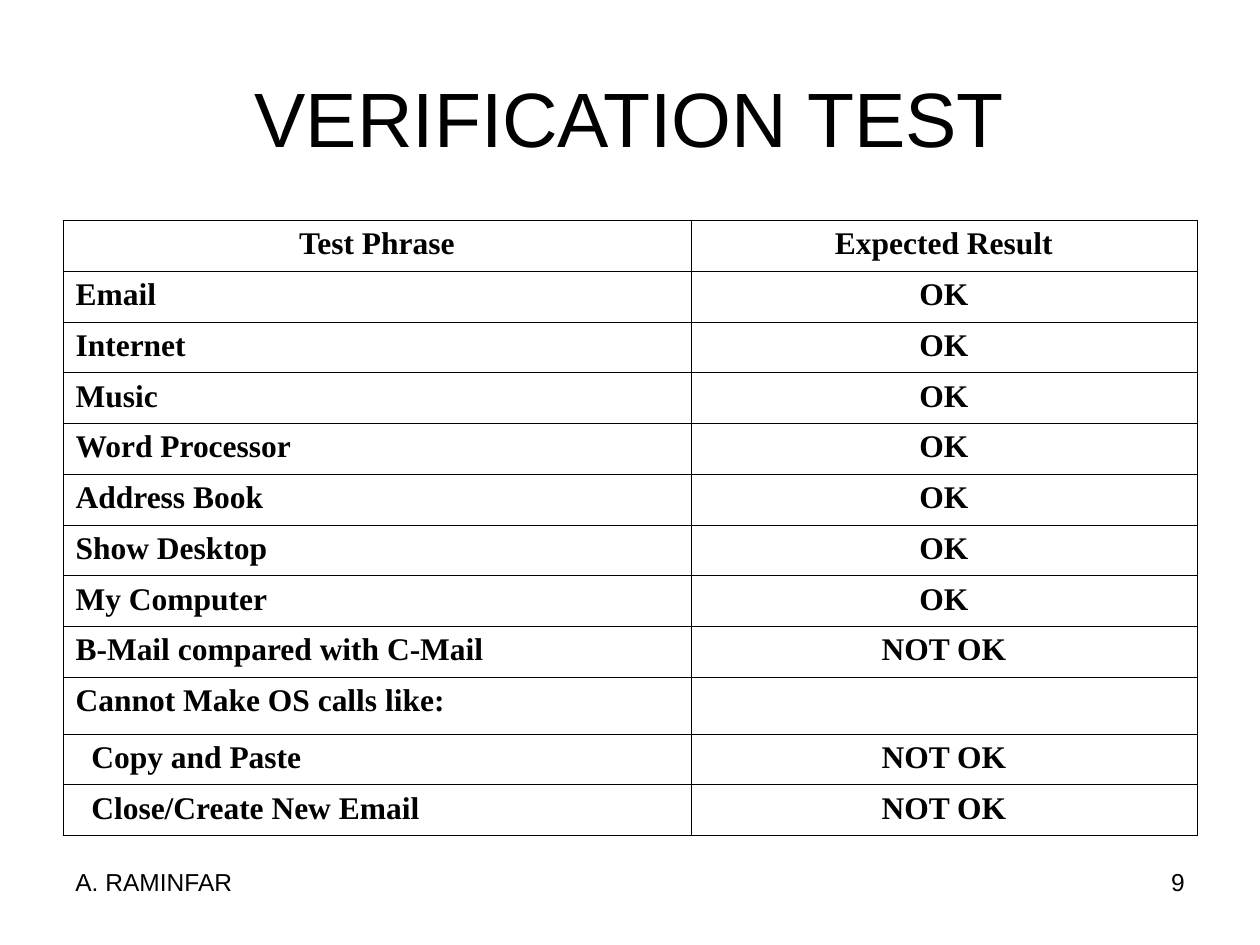
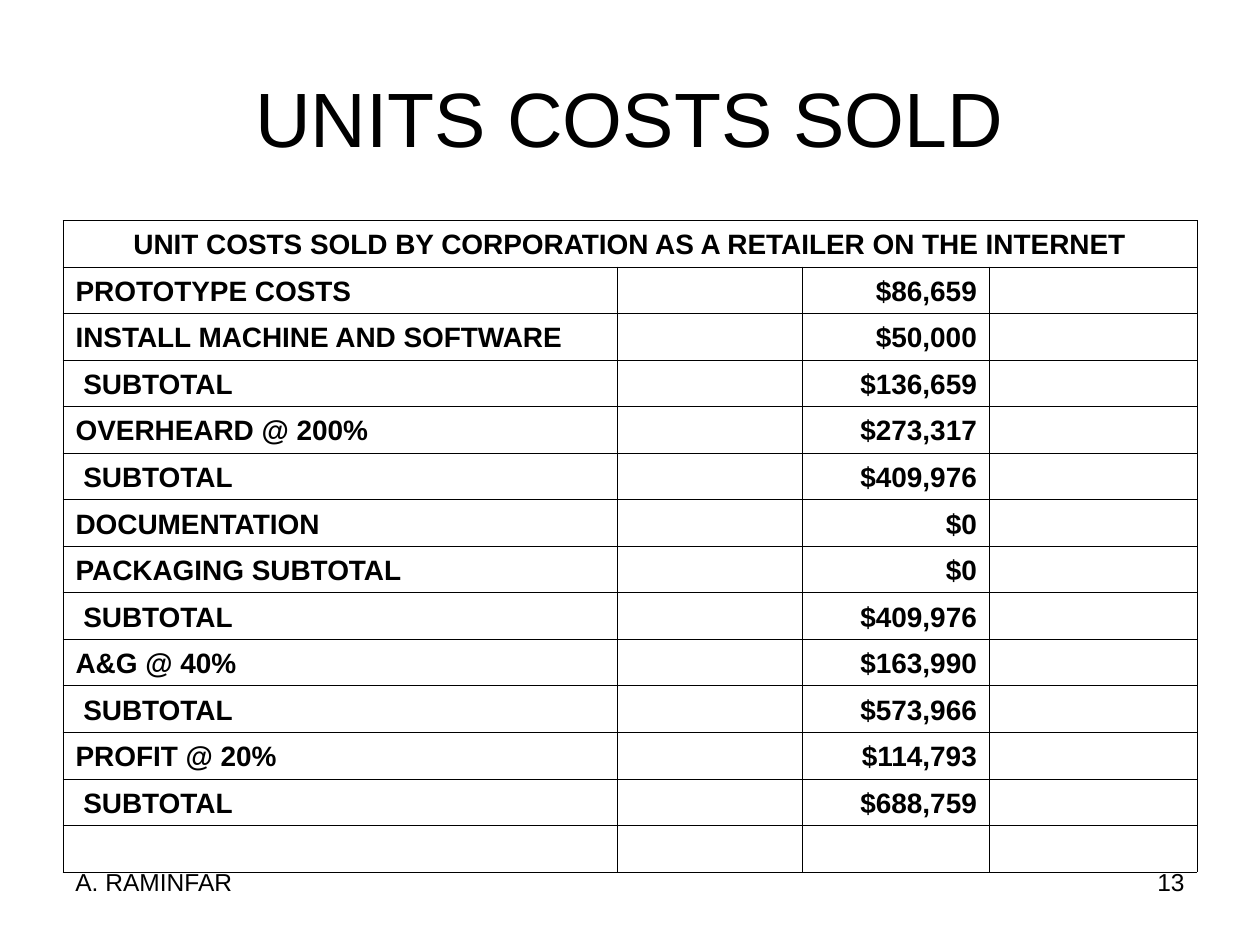
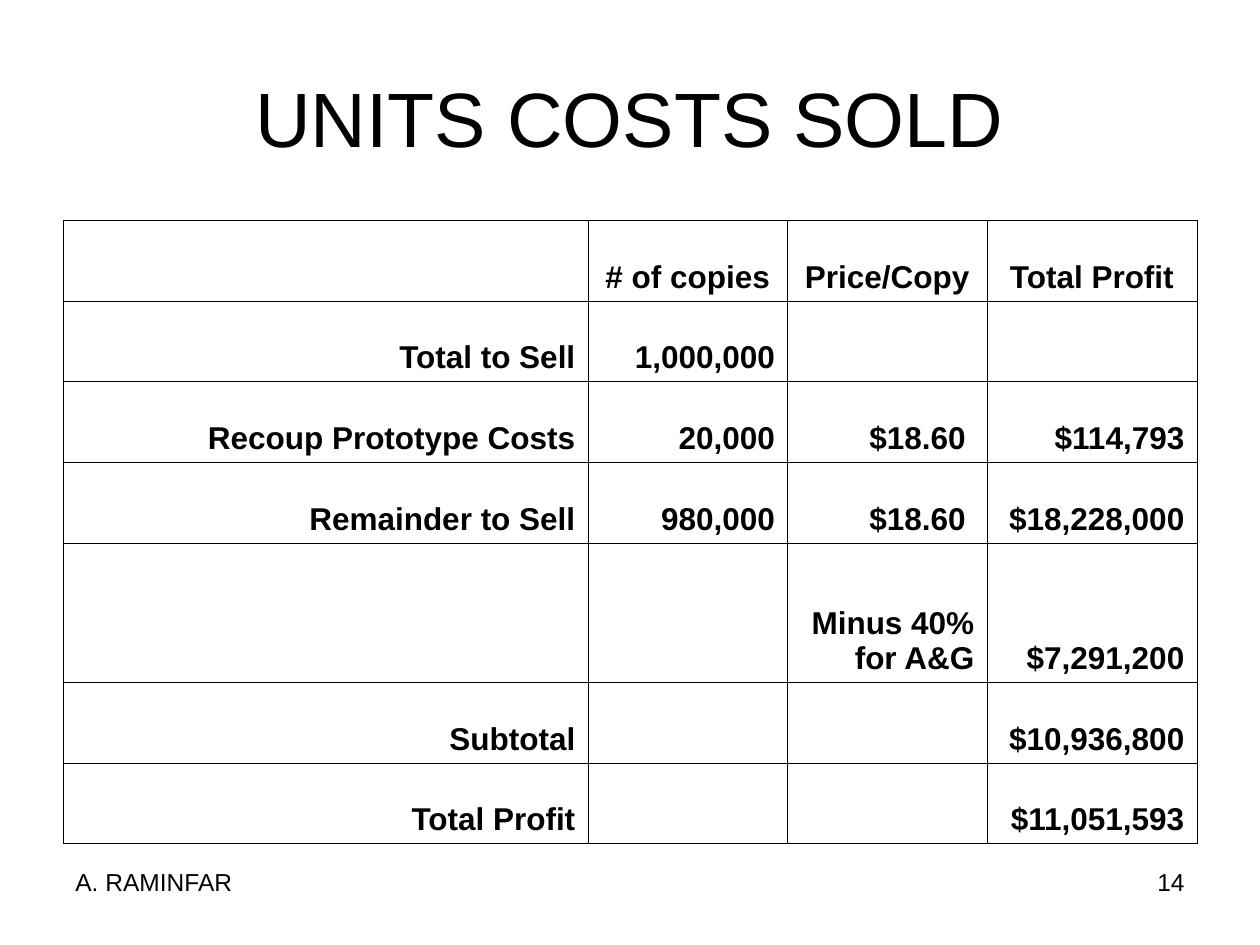
"""Build three table slides on voice tests and unit costs."""
from dataclasses import dataclass, field

from lxml import etree
from pptx import Presentation
from pptx.dml.color import RGBColor
from pptx.enum import text as tx
from pptx.oxml import ns
from pptx.util import Pt

HUES = {"ink": "000000"}
SANS, SERIF = "Arial", "Times New Roman"
LEFT, TOP, WIDE = 36, 126, 648
INSET, EDGE = 7.2, 0.45
ALIGN = {"L": tx.PP_ALIGN.LEFT, "C": tx.PP_ALIGN.CENTER, "R": tx.PP_ALIGN.RIGHT}
ANCHOR = {"T": tx.MSO_ANCHOR.TOP, "M": tx.MSO_ANCHOR.MIDDLE, "B": tx.MSO_ANCHOR.BOTTOM}


@dataclass
class Sheet:
    """One slide: a title, a page number and a table."""
    title: str
    page: int
    cols: list[float]
    high: list[float]
    rows: list[list[str]]
    align: str
    size: float
    font: str = SANS
    anchor: str = "B"
    pads: dict[str, tuple[float, float]] = field(default_factory=dict)


def write(frame, words: str, *, size: float, font: str = SANS, bold: bool = False,
          align: str = "L", hue: str = "ink") -> None:
    """Put formatted words in a text frame."""
    para = frame.paragraphs[0]
    para.alignment = ALIGN[align]
    if not words:
        etree.SubElement(para._p, ns.qn("a:endParaRPr"), sz=str(int(size * 100)))
        return
    run = para.add_run()
    run.text = words
    run.font.size, run.font.name, run.font.bold = Pt(size), font, bold
    run.font.color.rgb = RGBColor.from_string(HUES[hue])


def label(slide, words: str, x: float, y: float, w: float, h: float,
          anchor: str = "T", **form) -> None:
    """Add a wrapped text box."""
    frame = slide.shapes.add_textbox(Pt(x), Pt(y), Pt(w), Pt(h)).text_frame
    frame.word_wrap = True
    frame.vertical_anchor = ANCHOR[anchor]
    write(frame, words, **form)


def rule(cell) -> None:
    """Draw thin lines on all four sides of a cell."""
    props = cell._tc.get_or_add_tcPr()
    for side in "LRTB":
        line = etree.SubElement(props, ns.qn(f"a:ln{side}"), w=str(int(Pt(EDGE))))
        fill = etree.SubElement(line, ns.qn("a:solidFill"))
        etree.SubElement(fill, ns.qn("a:srgbClr"), val=HUES["ink"])


def grid(slide, sheet: Sheet) -> None:
    """Add the table of a sheet."""
    table = slide.shapes.add_table(
        len(sheet.rows), len(sheet.cols), Pt(LEFT), Pt(TOP), Pt(WIDE), Pt(sum(sheet.high))).table
    table.first_row = table.horz_banding = False
    for col, wide in zip(table.columns, sheet.cols):
        col.width = Pt(wide)
    for r, (row, high) in enumerate(zip(sheet.rows, sheet.high)):
        table.rows[r].height = Pt(high)
        for c, align in enumerate(sheet.align):
            cell = table.cell(r, c)
            words = row[c] if c < len(row) else ""
            left, right = sheet.pads.get(words, (0, 0))
            cell.margin_left, cell.margin_right = Pt(INSET + left), Pt(INSET + right)
            cell.vertical_anchor = ANCHOR[sheet.anchor]
            rule(cell)
            cell.fill.background()
            write(cell.text_frame, words, size=sheet.size, font=sheet.font, bold=True,
                  align=align if r else "C")
    if len(sheet.rows[0]) == 1:
        table.cell(0, 0).merge(table.cell(0, len(sheet.cols) - 1))


def build(deck, sheet: Sheet) -> None:
    """Add one slide with its title, table and footer."""
    slide = deck.slides.add_slide(deck.slide_layouts[6])
    label(slide, sheet.title, LEFT, 21.6, WIDE, 90, anchor="M", size=44, align="C")
    grid(slide, sheet)
    foot = 168
    label(slide, str(sheet.page), LEFT + WIDE - foot, 492, foot, 37.5, size=14, align="R")
    label(slide, "A. RAMINFAR", LEFT, 492, foot, 37.5, size=14)


SHEETS = [
    Sheet("VERIFICATION TEST", 9, [358.8, 289.2], [29] * 9 + [32.4] + [29] * 2, [
        ["Test Phrase", "Expected Result"],
        ["Email", "OK"],
        ["Internet", "OK"],
        ["Music", "OK"],
        ["Word Processor", "OK"],
        ["Address Book", "OK"],
        ["Show Desktop", "OK"],
        ["My Computer", "OK"],
        ["B-Mail compared with C-Mail", "NOT OK"],
        ["Cannot Make OS calls like:"],
        ["Copy and Paste", "NOT OK"],
        ["Close/Create New Email", "NOT OK"],
    ], "LC", 18, SERIF, "T", {"Copy and Paste": (9, 0), "Close/Create New Email": (9, 0)}),
    Sheet("UNITS COSTS SOLD", 13, [316.8, 105.8, 106.8, 118.6], [26.6] * 14, [
        ["UNIT COSTS SOLD BY CORPORATION AS A RETAILER ON THE INTERNET"],
        ["PROTOTYPE COSTS", "", "$86,659"],
        ["INSTALL MACHINE AND SOFTWARE", "", "$50,000"],
        ["SUBTOTAL", "", "$136,659"],
        ["OVERHEARD @ 200%", "", "$273,317"],
        ["SUBTOTAL", "", "$409,976"],
        ["DOCUMENTATION", "", "$0"],
        ["PACKAGING SUBTOTAL", "", "$0"],
        ["SUBTOTAL", "", "$409,976"],
        ["A&G @ 40%", "", "$163,990"],
        ["SUBTOTAL", "", "$573,966"],
        ["PROFIT @ 20%", "", "$114,793"],
        ["SUBTOTAL", "", "$688,759"],
        [],
    ], "LLRL", 16, pads={"SUBTOTAL": (4.4, 0)}),
    Sheet("UNITS COSTS SOLD", 14, [300, 114, 114, 120], [46.1] * 4 + [79.6] + [46.1] * 2, [
        ["", "# of copies", "Price/Copy", "Total Profit"],
        ["Total to Sell", "1,000,000"],
        ["Recoup Prototype Costs", "20,000", "$18.60", "$114,793"],
        ["Remainder to Sell", "980,000", "$18.60", "$18,228,000"],
        ["", "", "Minus 40% for A&G", "$7,291,200"],
        ["Subtotal", "", "", "$10,936,800"],
        ["Total Profit", "", "", "$11,051,593"],
    ], "RRRR", 18, pads={"$18.60": (0, 5)}),
]


def main() -> None:
    """Build and save the deck."""
    deck = Presentation()
    deck.slide_width, deck.slide_height = Pt(720), Pt(540)
    for sheet in SHEETS:
        build(deck, sheet)
    deck.save("out.pptx")


if __name__ == "__main__":
    main()
